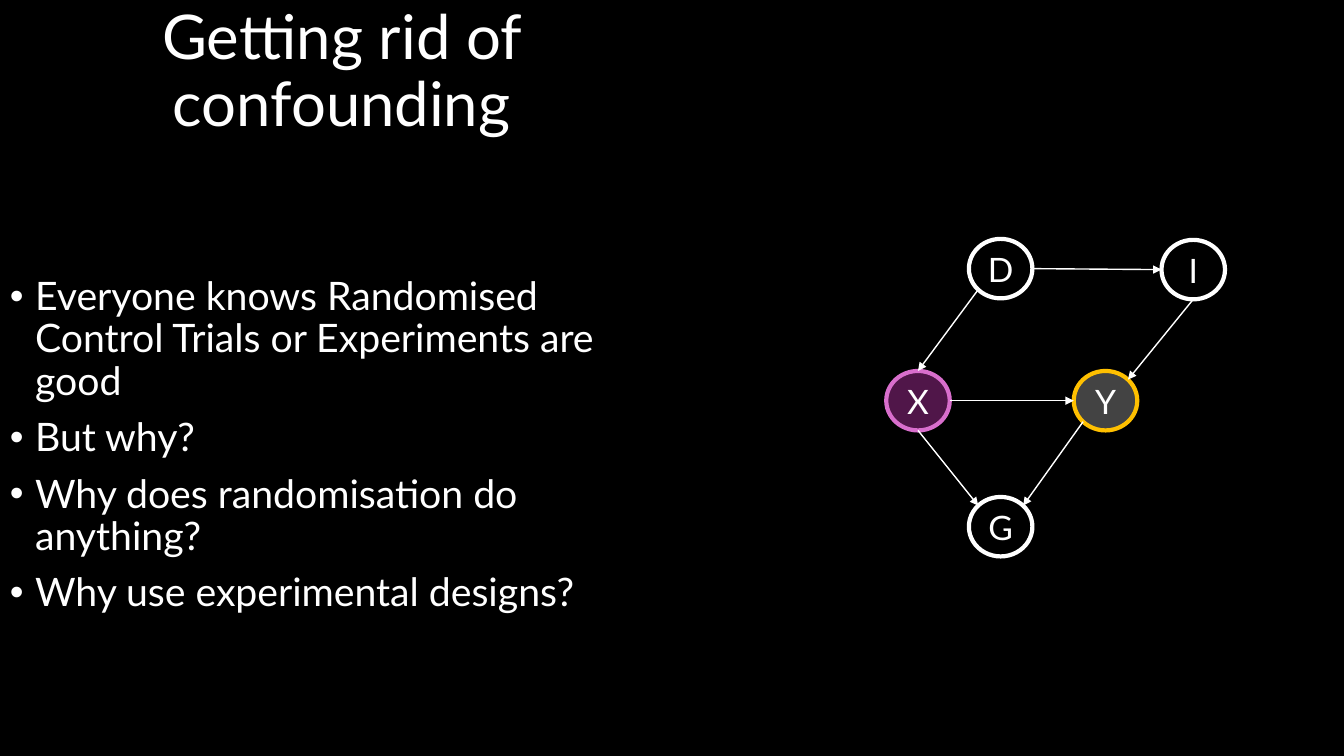
"""Build the slide on confounding: a bulleted list beside a causal graph."""
from math import cos, radians, sin

from lxml import etree
from pptx import Presentation
from pptx import util as u
from pptx.dml.color import RGBColor
from pptx.enum import shapes, text
from pptx.oxml.ns import qn

BLACK = RGBColor(0x00, 0x00, 0x00)
WHITE = RGBColor(0xFF, 0xFF, 0xFF)
GREY = RGBColor(0x43, 0x43, 0x43)
GOLD = RGBColor(0xFF, 0xC0, 0x00)
PLUM = RGBColor(0x50, 0x16, 0x49)
PINK = RGBColor(0xD8, 0x6E, 0xCC)
TEXT_WIDTH = 6.78
NODE_WIDTH, NODE_HEIGHT = 0.63, 0.59


def write(frame, lines, size, align=text.PP_ALIGN.CENTER, spacing=1.0, before=0, bullet=None):
    """Fill a text frame with one paragraph for each line."""
    frame.vertical_anchor = text.MSO_ANCHOR.MIDDLE
    frame.auto_size = text.MSO_AUTO_SIZE.NONE
    for index, line in enumerate(lines):
        paragraph = frame.add_paragraph() if index else frame.paragraphs[0]
        paragraph.text = line
        paragraph.alignment = align
        paragraph.line_spacing = spacing
        paragraph.space_before = u.Pt(before if index else 0)
        if bullet:
            properties = paragraph._p.get_or_add_pPr()
            properties.set("marL", str(u.Inches(0.25)))
            properties.set("indent", str(u.Inches(-0.25)))
            etree.SubElement(properties, qn("a:buFont"), typeface="Arial")
            etree.SubElement(properties, qn("a:buChar"), char=bullet)
        paragraph.font.name = "Lato"
        paragraph.font.size = u.Pt(size)
        paragraph.font.color.rgb = WHITE


def rim(name, angle):
    """Return the point on a node's rim, with angles clockwise from the right."""
    left, top = nodes[name][:2]
    across = left + NODE_WIDTH / 2 * (1 + cos(radians(angle)))
    down = top + NODE_HEIGHT / 2 * (1 + sin(radians(angle)))
    return u.Inches(across), u.Inches(down)


presentation = Presentation()
presentation.slide_width = u.Inches(13.33)
presentation.slide_height = u.Inches(7.5)
slide = presentation.slides.add_slide(presentation.slide_layouts[5])
slide.background.fill.solid()
slide.background.fill.fore_color.rgb = BLACK

title = slide.shapes.title
title.left, title.top = 0, 0
title.width, title.height = u.Inches(TEXT_WIDTH), u.Inches(1.45)
write(title.text_frame, ["Getting rid of confounding"], 44, spacing=0.9)

body = slide.shapes.add_textbox(0, u.Inches(1.56), u.Inches(TEXT_WIDTH), u.Inches(5.73))
body.text_frame.word_wrap = True
questions = [
    "Everyone knows Randomised Control Trials or Experiments are good",
    "But why?",
    "Why does randomisation do anything?",
    "Why use experimental designs?",
]
write(body.text_frame, questions, 28, align=text.PP_ALIGN.LEFT, spacing=0.9, before=10, bullet="•")

nodes = {
    "D": (9.61, 2.37, BLACK, WHITE),
    "I": (11.52, 2.38, BLACK, WHITE),
    "X": (8.79, 3.68, PLUM, PINK),
    "Y": (10.65, 3.68, GREY, GOLD),
    "G": (9.61, 4.93, BLACK, WHITE),
}
graph = slide.shapes.add_group_shape()
for name, (left, top, fill, outline) in nodes.items():
    node = graph.shapes.add_shape(
        shapes.MSO_SHAPE.OVAL, u.Inches(left), u.Inches(top), u.Inches(NODE_WIDTH), u.Inches(NODE_HEIGHT)
    )
    node.shadow.inherit = False
    node.fill.solid()
    node.fill.fore_color.rgb = fill
    node.line.color.rgb = outline
    node.line.width = u.Pt(3)
    node.text_frame.word_wrap = False
    write(node.text_frame, [name], 24)

arrows = [
    ("D", 0, "I", 180),
    ("D", 135, "X", 270),
    ("I", 90, "Y", 315),
    ("X", 0, "Y", 180),
    ("X", 90, "G", 225),
    ("Y", 135, "G", 315),
]
for cause, leaving, effect, arriving in arrows:
    arrow = graph.shapes.add_connector(
        shapes.MSO_CONNECTOR.STRAIGHT, *rim(cause, leaving), *rim(effect, arriving)
    )
    arrow.line.color.rgb = WHITE
    arrow.line.width = u.Pt(1)
    etree.SubElement(arrow.line._get_or_add_ln(), qn("a:tailEnd"), type="triangle")
    etree.SubElement(arrow._element.spPr, qn("a:effectLst"))

presentation.save("out.pptx")
